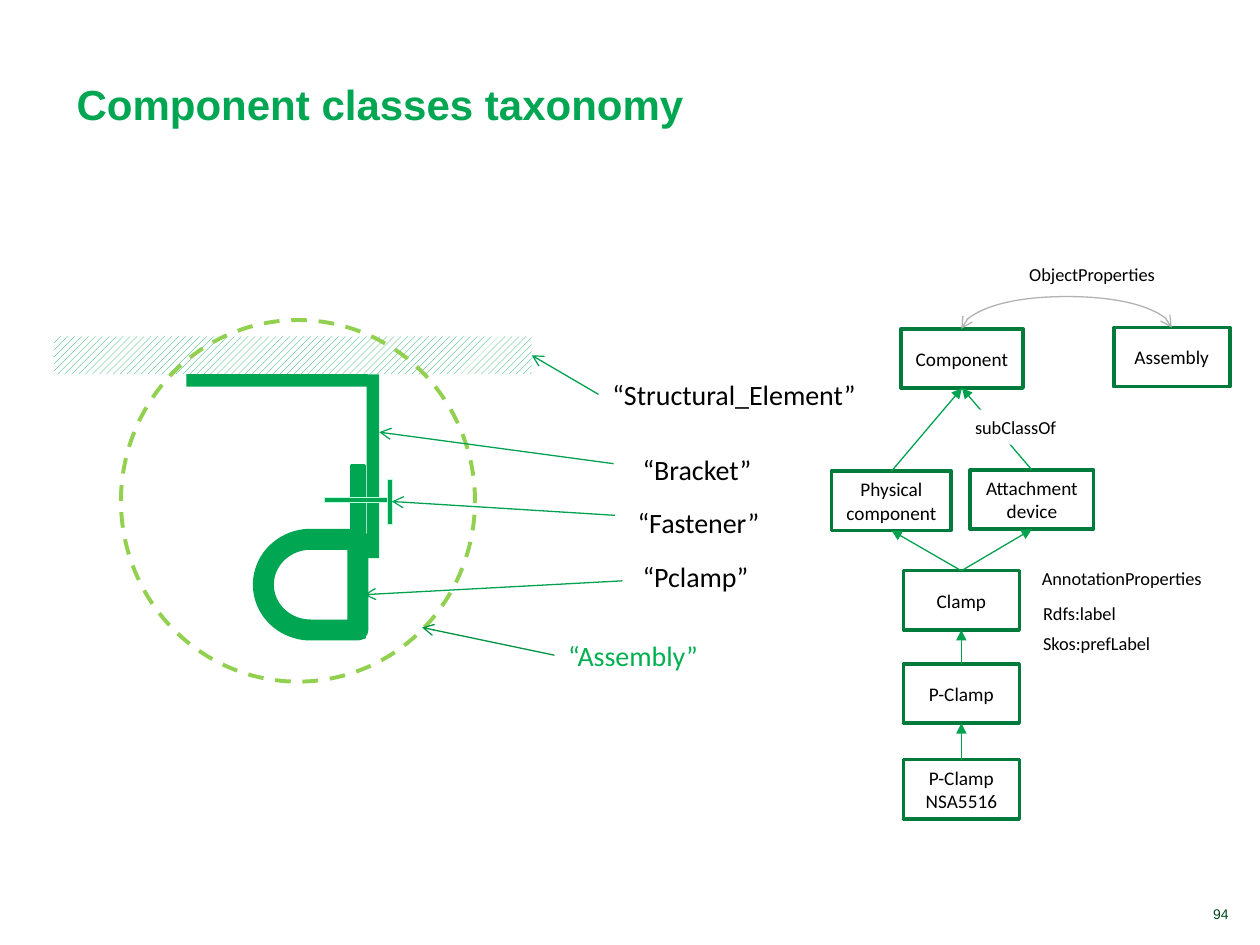
from lxml import etree
from pptx import Presentation
from pptx.dml.color import RGBColor
from pptx.enum.dml import MSO_LINE, MSO_PATTERN
from pptx.enum.shapes import MSO_CONNECTOR, MSO_SHAPE
from pptx.enum.text import MSO_ANCHOR, PP_ALIGN
from pptx.oxml.ns import qn
from pptx.util import Inches, Pt

RECT, PROCESS = MSO_SHAPE.RECTANGLE, MSO_SHAPE.FLOWCHART_PROCESS
DELAY, OVAL = MSO_SHAPE.FLOWCHART_DELAY, MSO_SHAPE.OVAL
STRAIGHT, CURVE = MSO_CONNECTOR.STRAIGHT, MSO_CONNECTOR.CURVE
LEFT, CENTER, RIGHT = PP_ALIGN.LEFT, PP_ALIGN.CENTER, PP_ALIGN.RIGHT
TOP, MIDDLE, BOTTOM = MSO_ANCHOR.TOP, MSO_ANCHOR.MIDDLE, MSO_ANCHOR.BOTTOM

GREEN = RGBColor(0x00, 0xA6, 0x51)
ARROW_GREEN = RGBColor(0x00, 0xA2, 0x4F)
ASSEMBLY_ARROW = RGBColor(0x00, 0x92, 0x42)
ASSEMBLY_TEXT = RGBColor(0x00, 0xB0, 0x50)
BOX_GREEN = RGBColor(0x00, 0x7B, 0x3C)
LIME = RGBColor(0x92, 0xD0, 0x50)
MINT = RGBColor(0xBA, 0xFF, 0xDC)
DARK_GREEN = RGBColor(0x00, 0x46, 0x21)
GRAY = RGBColor(0xB2, 0xB2, 0xB2)
BLACK = RGBColor(0, 0, 0)
WHITE = RGBColor(0xFF, 0xFF, 0xFF)

PARTS = [
    (RECT, (1.48, 2.97, 1.44, 0.1), 0, GREEN, None, 0),
    (RECT, (2.23, 3.65, 1.46, 0.1), 270, GREEN, None, 0),
    (RECT, (2.16, 4.33, 1.36, 0.1), 270, GREEN, GREEN, 2),
    (DELAY, (2.09, 4.28, 0.75, 0.72), 180, None, GREEN, 12),
    (PROCESS, (2.57, 3.95, 0.52, 0.04), 0, GREEN, MINT, 0.25),
    (PROCESS, (2.91, 3.96, 0.36, 0.04), 270, GREEN, MINT, 0.25),
]
CALLOUTS = [
    ("“Structural_Element”", (4.75, 2.94, 2.19), BLACK, (4.75, 3.13), (4.22, 2.82), ARROW_GREEN),
    ("“Bracket”", (4.99, 3.53, 1.11), BLACK, (4.87, 3.68), (3.01, 3.43), ARROW_GREEN),
    ("“Fastener”", (4.95, 3.95, 1.21), BLACK, (4.88, 4.09), (3.11, 3.98), ARROW_GREEN),
    ("“Pclamp”", (4.99, 4.38, 1.08), BLACK, (4.94, 4.61), (2.89, 4.72), ARROW_GREEN),
    ("“Assembly”", (4.4, 5.01, 1.27), ASSEMBLY_TEXT, (4.4, 5.2), (3.35, 4.98), ASSEMBLY_ARROW),
]
CALLOUT_HEIGHT = 0.38
BOX_HEIGHT = 0.47
CLASSES = {
    "Component": (7.15, 2.61, 0.97),
    "Assembly": (8.84, 2.6, 0.92),
    "Physical component": (6.6, 3.74, 0.95),
    "Attachment device": (7.7, 3.73, 0.98),
    "Clamp": (7.17, 4.53, 0.92),
    "P-Clamp": (7.17, 5.27, 0.92),
    "P-Clamp NSA5516": (7.17, 6.03, 0.92),
}
SUBCLASS_OF = [
    ("Physical component", "Component"),
    ("Attachment device", "Component"),
    ("Clamp", "Physical component"),
    ("Clamp", "Attachment device"),
    ("P-Clamp", "Clamp"),
    ("P-Clamp NSA5516", "P-Clamp"),
]
LABEL_HEIGHT = 0.28
LABELS = [
    ("ObjectProperties", 8.07, 2.04, 1.22),
    ("subClassOf", 7.64, 3.25, 0.86),
    ("Rdfs:label", 8.18, 4.73, 0.79),
    ("Skos:prefLabel", 8.18, 4.97, 1.07),
    ("AnnotationProperties", 8.17, 4.45, 1.49),
]

prs = Presentation()
prs.slide_width, prs.slide_height = Inches(10), Inches(7.5)
slide = prs.slides.add_slide(prs.slide_layouts[6])


def add_part(preset, place, rotation=0, fill=None, line=None, width=0):
    part = slide.shapes.add_shape(preset, *map(Inches, place))
    part.shadow.inherit = False
    part.rotation = rotation
    if fill is None:
        part.fill.background()
    else:
        part.fill.solid()
        part.fill.fore_color.rgb = fill
    if line is None:
        part.line.fill.background()
    else:
        part.line.color.rgb = line
        part.line.width = Pt(width)
    return part


def write(holder, text, size, color, font="Calibri", bold=False, align=LEFT,
          anchor=TOP, wrap=False, insets=(0.1, 0.05)):
    frame = holder.text_frame
    frame.word_wrap = wrap
    frame.vertical_anchor = anchor
    frame.margin_left = frame.margin_right = Inches(insets[0])
    frame.margin_top = frame.margin_bottom = Inches(insets[1])
    paragraph = frame.paragraphs[0]
    paragraph.text = text
    paragraph.alignment = align
    paragraph.font.name = font
    paragraph.font.size = Pt(size)
    paragraph.font.bold = bold
    paragraph.font.color.rgb = color


def add_text(place, *args, **style):
    write(slide.shapes.add_textbox(*map(Inches, place)), *args, **style)


def add_arrow(start, end, color, tail, head=None, kind=STRAIGHT):
    arrow = slide.shapes.add_connector(kind, *map(Inches, start + end))
    arrow.line.color.rgb = color
    arrow.line.width = Pt(0.75)
    outline = arrow.line._get_or_add_ln()
    for tag, tip in (("a:headEnd", head), ("a:tailEnd", tail)):
        if tip:
            etree.SubElement(outline, qn(tag), type=tip)
    etree.SubElement(arrow._element.spPr, qn("a:effectLst"))
    return arrow


add_text((8.54, 7.14, 1.31, 0.23), "94", 8, DARK_GREEN, font="Arial",
         align=RIGHT, anchor=BOTTOM, wrap=True)
add_text((0.51, 0.16, 6.81, 0.91), "Component classes taxonomy", 24, GREEN,
         font="Arial", bold=True, anchor=BOTTOM, wrap=True)

structure = add_part(RECT, (0.43, 2.67, 3.79, 0.3))
structure.fill.patterned()
structure.fill.pattern = MSO_PATTERN.WIDE_UPWARD_DIAGONAL
structure.fill.fore_color.rgb = GREEN
structure.fill.back_color.rgb = WHITE
for part in PARTS:
    add_part(*part)
assembly_ring = add_part(OVAL, (0.96, 2.54, 2.81, 2.87), line=LIME, width=2.25)
assembly_ring.line.dash_style = MSO_LINE.DASH

for name, place, color, start, end, arrow_color in CALLOUTS:
    add_text(place + (CALLOUT_HEIGHT,), name, 16, color, insets=(0.11, 0.06))
    add_arrow(start, end, arrow_color, "arrow")

for name, place in CLASSES.items():
    box = add_part(RECT, place + (BOX_HEIGHT,), line=BOX_GREEN, width=2)
    write(box, name, 11, BLACK, align=CENTER, anchor=MIDDLE, wrap=True, insets=(0.11, 0.06))

for child, parent in SUBCLASS_OF:
    child_left, child_top, child_width = CLASSES[child]
    parent_left, parent_top, parent_width = CLASSES[parent]
    add_arrow((child_left + child_width / 2, child_top),
              (parent_left + parent_width / 2, parent_top + BOX_HEIGHT),
              ARROW_GREEN, "triangle")

properties = add_arrow((8.47, 3.44), (8.46, 1.77), GRAY, "arrow", "arrow", CURVE)
properties._element.spPr.find(qn("a:xfrm")).set("rot", "5400000")
geometry = properties._element.spPr.find(qn("a:prstGeom"))
etree.SubElement(geometry.find(qn("a:avLst")), qn("a:gd"), name="adj1", fmla="val 2600000")

for text, left, top, width in LABELS:
    label = add_part(RECT, (left, top, width, LABEL_HEIGHT), fill=WHITE)
    write(label, text, 10.5, BLACK)

prs.save("out.pptx")
